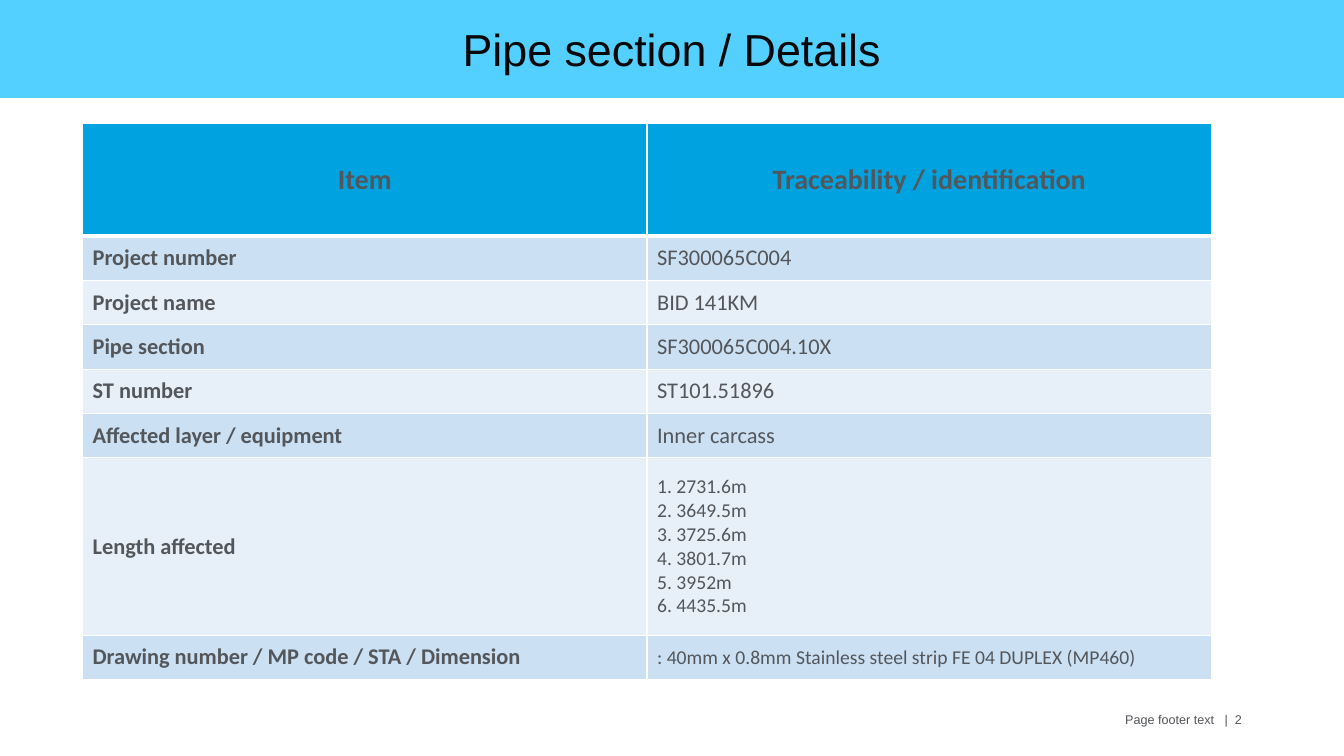
from lxml.etree import SubElement
from pptx import Presentation
from pptx.dml.color import RGBColor
from pptx.enum.text import MSO_ANCHOR, PP_ALIGN
from pptx.oxml.ns import qn
from pptx.util import Pt

TITLE = "Pipe section / Details"
FOOTER = "Page footer text   |  2"
LENGTHS = ["2731.6m", "3649.5m", "3725.6m", "3801.7m", "3952m", "4435.5m"]
LIST = "\n".join(f"{n}. {size}" for n, size in enumerate(LENGTHS, 1))
HEAD = ("Item", "Traceability / identification")
# item, value, value text size, row height
ROWS = [
    ("Project number", "SF300065C004", 16, 31.7),
    ("Project name", "BID 141KM", 16, 31.7),
    ("Pipe section", "SF300065C004.10X", 16, 31.7),
    ("ST number", "ST101.51896", 16, 31.7),
    ("Affected layer / equipment", "Inner carcass", 16, 31.7),
    ("Length affected", LIST, 14, 126.6),
    ("Drawing number / MP code / STA / Dimension",
     ": 40mm x 0.8mm Stainless steel strip FE 04 DUPLEX (MP460)", 14, 31.7),
]
HEAD_H = 80.2
COL_W = 403.2

SKY = RGBColor(0x53, 0xD0, 0xFF)
BLUE = RGBColor(0x00, 0xA3, 0xE0)
BANDS = RGBColor(0xCC, 0xE0, 0xF3), RGBColor(0xE7, 0xF0, 0xF9)
WHITE = RGBColor(0xFF, 0xFF, 0xFF)
GREY = RGBColor(0x53, 0x56, 0x5A)
BLACK = RGBColor(0x08, 0x08, 0x08)


def write(par, text, face, size, color, bold=False, align=PP_ALIGN.LEFT):
    par.text = text
    par.alignment = align
    font = par.font
    font.name, font.size, font.bold = face, Pt(size), bold
    font.color.rgb = color


def edge(cell, top, bottom):
    """Draw white cell borders, with widths in points."""
    props = cell._tc.get_or_add_tcPr()
    for side, width in zip("LRTB", (1, 1, top, bottom)):
        line = SubElement(props, qn(f"a:ln{side}"), w=str(Pt(width)))
        fill = SubElement(line, qn("a:solidFill"))
        SubElement(fill, qn("a:srgbClr"), val=str(WHITE))


def fill_cell(cell, text, size, bold, align, color, top=1, bottom=1):
    edge(cell, top, bottom)
    cell.fill.solid()
    cell.fill.fore_color.rgb = color
    cell.vertical_anchor = MSO_ANCHOR.MIDDLE
    write(cell.text_frame.paragraphs[0], text, "Calibri", size, GREY, bold, align)


deck = Presentation()
deck.slide_width, deck.slide_height = Pt(960), Pt(540)
slide = deck.slides.add_slide(deck.slide_layouts[5])

title = slide.shapes.title
title.left, title.top, title.width, title.height = Pt(0), Pt(-1), Pt(960), Pt(71)
title.fill.solid()
title.fill.fore_color.rgb = SKY
title.text_frame.vertical_anchor = MSO_ANCHOR.MIDDLE
write(title.text_frame.paragraphs[0], TITLE, "Arial", 32, BLACK,
      align=PP_ALIGN.CENTER)

heights = [HEAD_H] + [row[3] for row in ROWS]
table = slide.shapes.add_table(len(heights), 2, Pt(59), Pt(88.4),
                               Pt(2 * COL_W), Pt(sum(heights))).table
for col in table.columns:
    col.width = Pt(COL_W)
for row, height in zip(table.rows, heights):
    row.height = Pt(height)
for c, text in enumerate(HEAD):
    fill_cell(table.cell(0, c), text, 20, True, PP_ALIGN.CENTER, BLUE, bottom=3)
for r, (item, value, size, _) in enumerate(ROWS, 1):
    band = BANDS[(r - 1) % 2]
    top = 3 if r == 1 else 1
    fill_cell(table.cell(r, 0), item, 16, True, PP_ALIGN.LEFT, band, top)
    fill_cell(table.cell(r, 1), value, size, False, PP_ALIGN.LEFT, band, top)

foot = slide.shapes.add_textbox(Pt(656.6), Pt(504.7), Pt(237.6), Pt(28.8))
foot.text_frame.word_wrap = True
write(foot.text_frame.paragraphs[0], FOOTER, "Arial", 9, GREY,
      align=PP_ALIGN.RIGHT)

deck.save("out.pptx")
